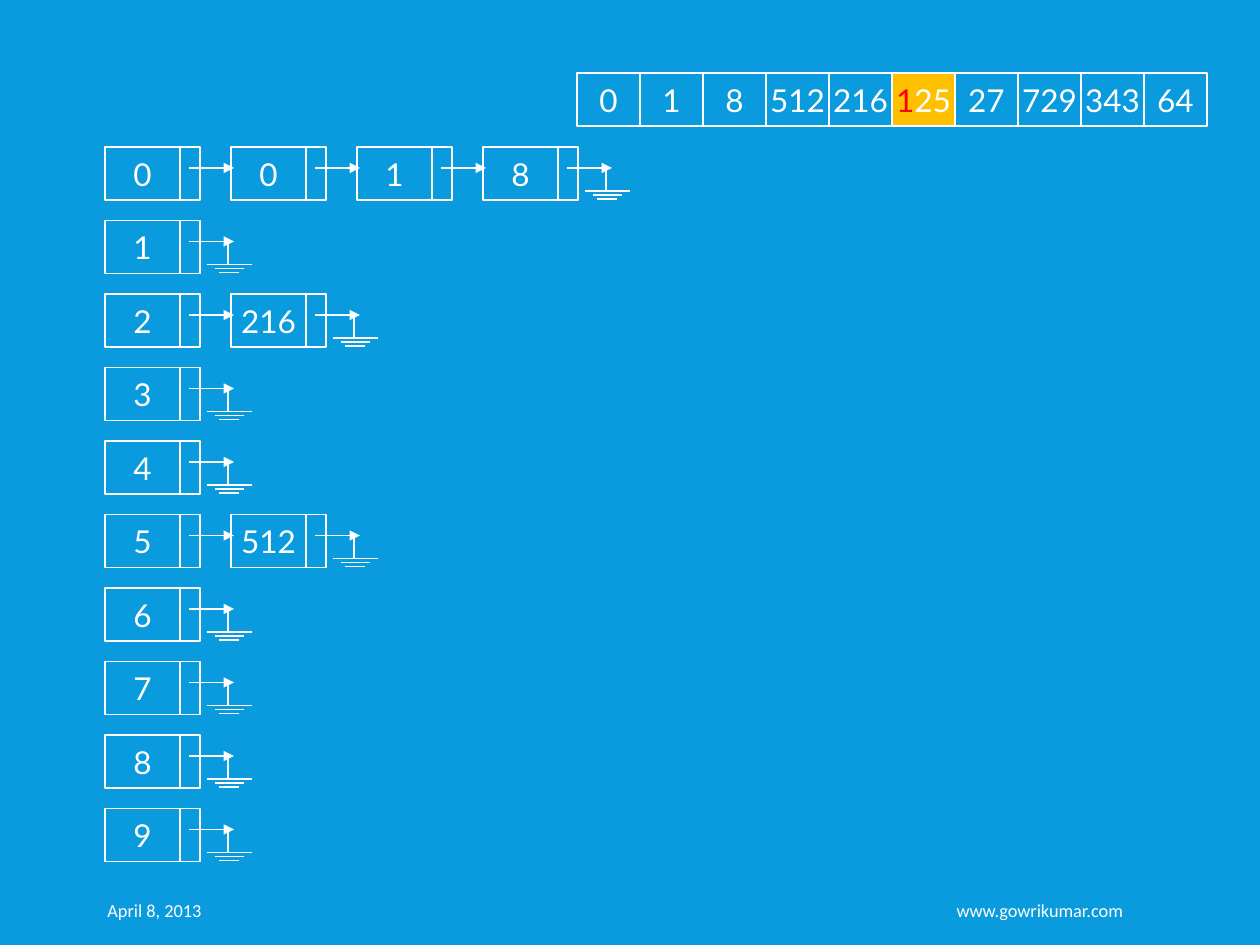
from lxml import etree
from pptx import Presentation
from pptx import util as u
from pptx.dml.color import RGBColor
from pptx.enum import shapes, text
from pptx.oxml.ns import qn

PX = 914400 / 126
BLUE = RGBColor(0x09, 0x9B, 0xDD)
WHITE = RGBColor(0xFF, 0xFF, 0xFF)
AMBER = RGBColor(0xFF, 0xC0, 0x00)
RED = RGBColor(0xFF, 0x00, 0x00)

NUMBERS = ["0", "1", "8", "512", "216", "125", "27", "729", "343", "64"]
CURRENT = "125"
BUCKETS = [["0", "1", "8"], [], ["216"], [], [], ["512"], [], [], [], []]
FOOTERS = [
    ("April 8, 2013", (95, 885, 358, 50), text.PP_ALIGN.LEFT, 6),
    ("www.gowrikumar.com", (577, 885, 559, 50), text.PP_ALIGN.RIGHT, 13),
]

ARRAY_LEFT, ARRAY_TOP, CELL_WIDTH = 577, 73, 63
CHAIN_LEFT, CHAIN_TOP, NODE_PITCH, TWO_ROWS = 105, 147, 126, 147
VALUE_WIDTH, POINTER_WIDTH, BOX_HEIGHT = 75, 20, 53

# Lines as (x1, y1, x2, y2) from the node's top left corner
ARROW = (84, 21, 129, 21)
GROUND = [(102, 44, 147, 44), (114, 52, 134, 52), (110, 48, 139, 48), (123, 44, 123, 21)]


def emu(*lengths):
    return [u.Emu(round(length * PX)) for length in lengths]


def write(frame, spans, size, font, align):
    """Fill the frame with one paragraph of (words, colour) spans."""
    frame.vertical_anchor = text.MSO_ANCHOR.MIDDLE
    para = frame.paragraphs[0]
    para.alignment = align
    for words, colour in spans:
        span = para.add_run()
        span.text = words
        for name, value in {"size": u.Pt(size), "name": font}.items():
            setattr(span.font, name, value)
        span.font.color.rgb = colour


def add_box(parent, left, top, width, spans=(), fill=None):
    box = parent.add_shape(shapes.MSO_SHAPE.RECTANGLE, *emu(left, top, width, BOX_HEIGHT))
    box.shadow.inherit = False
    box.line.color.rgb = WHITE
    box.line.width = u.Pt(0.75)
    if fill is None:
        box.fill.background()
    else:
        box.fill.solid()
        box.fill.fore_color.rgb = fill
    if spans:
        box.text_frame.word_wrap = False
        write(box.text_frame, spans, 18, "Lato", text.PP_ALIGN.CENTER)


def add_line(parent, left, top, ends, arrow=False):
    x1, y1, x2, y2 = ends
    line = parent.add_connector(
        shapes.MSO_CONNECTOR.STRAIGHT, *emu(left + x1, top + y1, left + x2, top + y2))
    line.line.color.rgb = WHITE
    line.line.width = u.Pt(0.75)
    if arrow:
        etree.SubElement(line.line._get_or_add_ln(), qn("a:tailEnd"), type="triangle")
    etree.SubElement(line._element.spPr, qn("a:effectLst"))


def add_node(page, left, top, value, is_last):
    """Draw a list node with its arrow; the last one points to ground."""
    parts = page.shapes.add_group_shape().shapes
    add_box(parts, left, top, VALUE_WIDTH, [(value, WHITE)])
    add_box(parts, left + VALUE_WIDTH, top, POINTER_WIDTH)
    add_line(parts, left, top, ARROW, arrow=True)
    if is_last:
        for ends in GROUND:
            add_line(parts, left, top, ends)


def main():
    deck = Presentation()
    deck.slide_width, deck.slide_height = emu(1260, 945)
    page = deck.slides.add_slide(deck.slide_layouts[6])
    page.background.fill.solid()
    page.background.fill.fore_color.rgb = BLUE

    for words, place, align, right_inset in FOOTERS:
        frame = page.shapes.add_textbox(*emu(*place)).text_frame
        frame.word_wrap = True
        frame.margin_right = emu(right_inset)[0]
        write(frame, [(words, WHITE)], 10.5, "Calibri", align)

    for column, number in enumerate(NUMBERS):
        spans, fill = [(number, WHITE)], None
        if number == CURRENT:
            spans, fill = [(number[0], RED), (number[1:], WHITE)], AMBER
        add_box(page.shapes, ARRAY_LEFT + column * CELL_WIDTH, ARRAY_TOP, CELL_WIDTH, spans, fill)

    for row, values in enumerate(BUCKETS):
        top = CHAIN_TOP + row * TWO_ROWS / 2
        for column, value in enumerate([str(row), *values]):
            add_node(page, CHAIN_LEFT + column * NODE_PITCH, top, value, column == len(values))

    deck.save("out.pptx")


if __name__ == "__main__":
    main()
